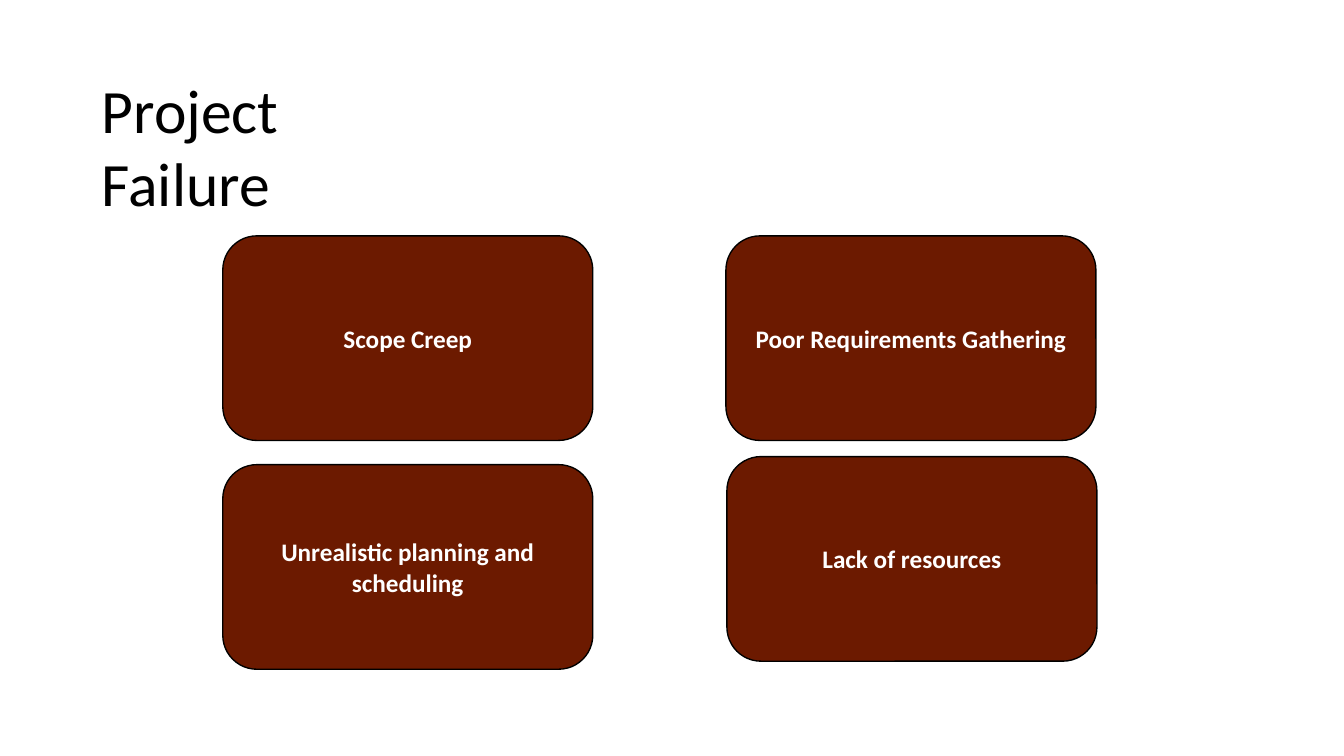
from pptx import Presentation
from pptx.dml.color import RGBColor
from pptx.enum.shapes import MSO_SHAPE
from pptx.enum.text import MSO_ANCHOR, PP_ALIGN
from pptx.util import Inches, Pt

BROWN = RGBColor(0x6C, 0x1A, 0x00)
BLACK = RGBColor(0x00, 0x00, 0x00)
WHITE = RGBColor(0xFF, 0xFF, 0xFF)
FONT = "Calibri"

CARD_WIDTH, CARD_HEIGHT = 3.67, 2.03
# Text, left and top of each card
CAUSES = [
    ("Scope Creep", 2.21, 2.34),
    ("Poor Requirements Gathering", 7.2, 2.34),
    ("Unrealistic planning and scheduling", 2.21, 4.61),
    ("Lack of resources", 7.21, 4.53),
]


def set_text(shape, text, size, color, bold=False):
    text_frame = shape.text_frame
    text_frame.text = text
    text_frame.word_wrap = True
    font = text_frame.paragraphs[0].runs[0].font
    font.name = FONT
    font.size = Pt(size)
    font.bold = bold
    font.color.rgb = color


def add_title(slide, text):
    # Narrow enough for the two words to stand on separate lines
    shape = slide.shapes.add_textbox(Inches(1.01), Inches(0.7), Inches(3), Inches(1.5))
    set_text(shape, text, 44, BLACK)
    text_frame = shape.text_frame
    text_frame.margin_left = text_frame.margin_right = 0
    text_frame.margin_top = Inches(0.01)
    text_frame.margin_bottom = 0


def add_cause(slide, text, left, top):
    shape = slide.shapes.add_shape(
        MSO_SHAPE.ROUNDED_RECTANGLE,
        Inches(left), Inches(top), Inches(CARD_WIDTH), Inches(CARD_HEIGHT),
    )
    shape.shadow.inherit = False
    shape.fill.solid()
    shape.fill.fore_color.rgb = BROWN
    shape.line.color.rgb = BLACK
    shape.line.width = Pt(0.96)
    set_text(shape, text, 18, WHITE, bold=True)
    shape.text_frame.vertical_anchor = MSO_ANCHOR.MIDDLE
    shape.text_frame.paragraphs[0].alignment = PP_ALIGN.CENTER


def main():
    presentation = Presentation()
    presentation.slide_width = Inches(13.33)
    presentation.slide_height = Inches(7.5)
    slide = presentation.slides.add_slide(presentation.slide_layouts[6])

    # Heading
    add_title(slide, "Project Failure")

    # Cards with the causes of failure
    for text, left, top in CAUSES:
        add_cause(slide, text, left, top)

    presentation.save("out.pptx")


if __name__ == "__main__":
    main()
